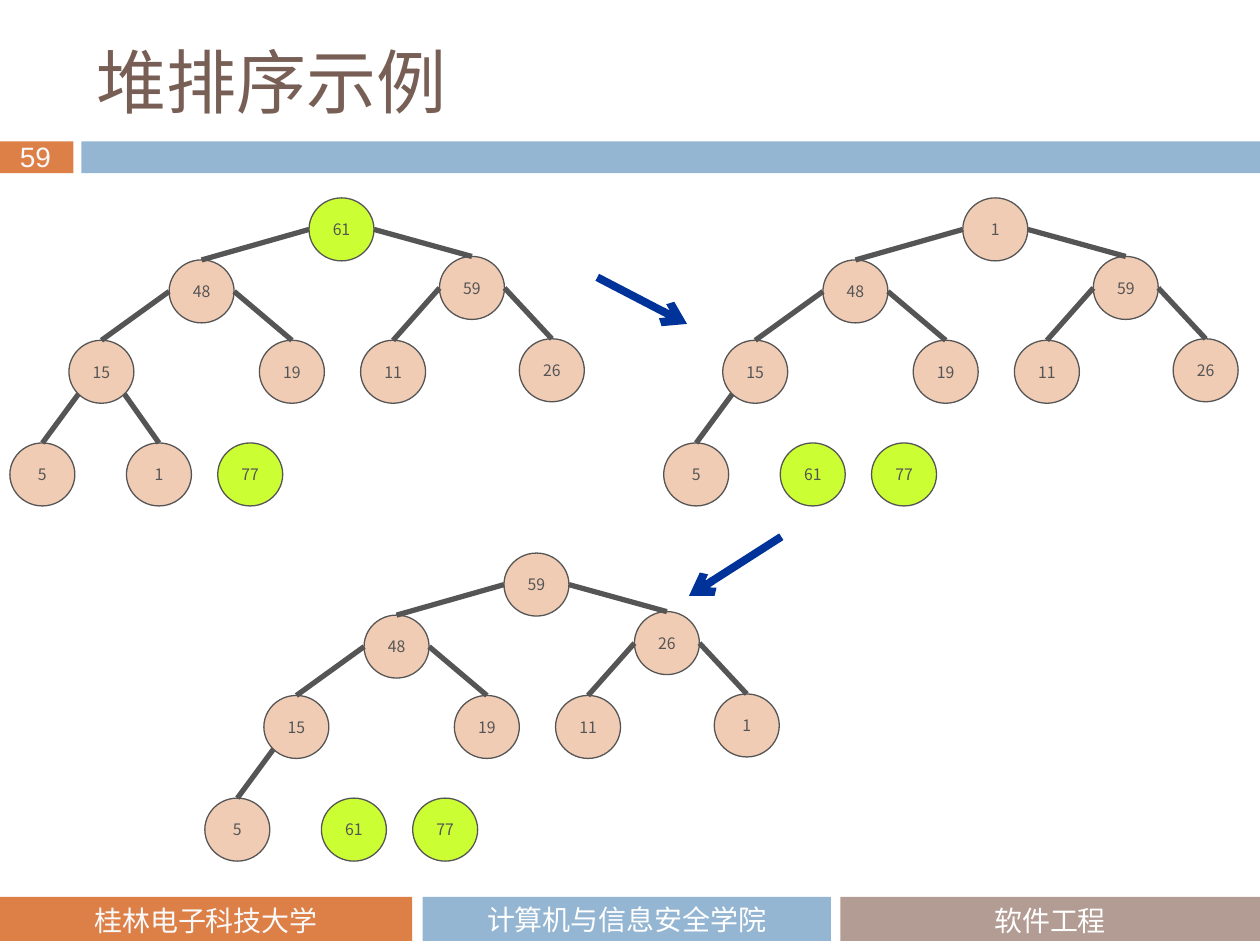
from pptx import Presentation
from pptx.dml.color import RGBColor
from pptx.enum.shapes import MSO_CONNECTOR, MSO_SHAPE
from pptx.enum.text import MSO_ANCHOR, PP_ALIGN
from pptx.oxml.ns import qn
from pptx.util import Cm, Pt
from lxml import etree

RECTANGLE, OVAL = MSO_SHAPE.RECTANGLE, MSO_SHAPE.OVAL
STRAIGHT = MSO_CONNECTOR.STRAIGHT
LEFT, CENTER = PP_ALIGN.LEFT, PP_ALIGN.CENTER
TOP, MIDDLE = MSO_ANCHOR.TOP, MSO_ANCHOR.MIDDLE

ORANGE, BLUE, TAUPE = "DD8047", "94B6D2", "B29C93"
PEACH, LIME, GRAY, NAVY = "F1CCB5", "CCFF33", "555555", "003399"
WHITE, OFF_WHITE, BROWN = "FFFFFF", "F9F9F9", "775F55"

presentation = Presentation()
presentation.slide_width, presentation.slide_height = Cm(25.4), Cm(19.05)
slide = presentation.slides.add_slide(presentation.slide_layouts[6])


def add_box(text, left, top, width, height, shape_type=None, fill=None, line=None,
            font="Cabin", size=16, color=WHITE, align=CENTER, anchor=MIDDLE,
            wrap=True, inset=None):
    """Add a filled preset shape, or a text box when shape_type is None."""
    place = Cm(left), Cm(top), Cm(width), Cm(height)
    if shape_type is None:
        shape = slide.shapes.add_textbox(*place)
    else:
        shape = slide.shapes.add_shape(shape_type, *place)
        shape.shadow.inherit = False
        shape.fill.solid()
        shape.fill.fore_color.rgb = RGBColor.from_string(fill)
        if line:
            shape.line.color.rgb = RGBColor.from_string(line)
            shape.line.width = Pt(0.75)
        else:
            shape.line.fill.background()
    if not text:
        return
    frame = shape.text_frame
    frame.word_wrap = wrap
    frame.vertical_anchor = anchor
    if inset is not None:
        frame.margin_left = frame.margin_right = Cm(inset)
        frame.margin_top = frame.margin_bottom = Cm(inset)
    paragraph = frame.paragraphs[0]
    paragraph.alignment = align
    run = paragraph.add_run()
    run.text = text
    run.font.name = font
    run.font.size = Pt(size)
    run.font.color.rgb = RGBColor.from_string(color)
    east_asian = etree.SubElement(run.font._element, qn("a:ea"))
    east_asian.set("typeface", font)


def add_line(start, end, color=GRAY, width=3, arrow=False):
    connector = slide.shapes.add_connector(
        STRAIGHT, *(Cm(value) for value in (*start, *end)))
    connector.line.color.rgb = RGBColor.from_string(color)
    connector.line.width = Pt(width)
    if arrow:
        etree.SubElement(connector.line._get_or_add_ln(), qn("a:tailEnd"), type="arrow")
    etree.SubElement(connector._element.spPr, qn("a:effectLst"))


# Title band and footer
add_box("", 0, 2.85, 1.48, 0.64, RECTANGLE, ORANGE)
add_box("", 1.64, 2.85, 23.76, 0.64, RECTANGLE, BLUE)
add_box("", 0, 18.08, 8.31, 0.89, RECTANGLE, ORANGE)
add_box("计算机与信息安全学院", 8.52, 18.08, 8.23, 0.89, RECTANGLE, BLUE)
add_box("", 16.94, 18.08, 8.46, 0.89, RECTANGLE, TAUPE)
add_box("软件工程", 16.94, 18.08, 8.46, 0.82, anchor=TOP)
add_box("桂林电子科技大学", 0, 18.08, 8.31, 0.82, color=OFF_WHITE, anchor=TOP)
add_box("59", 0.15, 2.69, 1.22, 0.94, font="Arial", color=OFF_WHITE,
        align=LEFT, anchor=TOP, wrap=False)
add_box("堆排序示例", 1.7, 0.64, 22.66, 1.98, font="Noto Sans CJK JP",
        size=40, color=BROWN, align=LEFT)

# Heap trees: node places in array order, measured from each tree's corner
NODE_WIDTH, NODE_HEIGHT = 1.31, 1.27
NODE_PLACES = [
    (6.03, 0), (3.21, 1.25), (8.66, 1.18),
    (1.19, 2.87), (5.03, 2.87), (7.07, 2.87), (10.27, 2.84),
    (0, 4.94), (2.35, 4.94), (4.19, 4.94),
]
DIAGONAL = 0.5 ** 0.5

# Corner, values in array order, heap size, highlighted positions
trees = [
    ((0.2, 3.99), [61, 48, 59, 15, 19, 11, 26, 5, 1, 77], 9, {0, 9}),
    ((13.38, 3.99), [1, 48, 59, 15, 19, 11, 26, 5, 61, 77], 8, {8, 9}),
    ((4.13, 11.15), [59, 48, 26, 15, 19, 11, 1, 5, 61, 77], 8, {8, 9}),
]

for (tree_left, tree_top), values, heap_size, highlighted in trees:
    nodes = [(tree_left + x, tree_top + y) for x, y in NODE_PLACES]
    for index, (value, (left, top)) in enumerate(zip(values, nodes)):
        add_box(str(value), left, top, NODE_WIDTH, NODE_HEIGHT, OVAL,
                LIME if index in highlighted else PEACH, GRAY,
                font="Noto Sans CJK SC", size=9, color=GRAY, inset=0)
    for child in range(1, heap_size):
        parent = (child - 1) // 2
        parent_left, parent_top = nodes[parent]
        child_left, child_top = nodes[child]
        side = -1 if child % 2 else 1
        # Edges leave the side of a parent, or its lower diagonal on the third level
        across, down = (DIAGONAL, DIAGONAL) if parent >= 3 else (1, 0)
        add_line((parent_left + NODE_WIDTH / 2 * (1 + side * across),
                  parent_top + NODE_HEIGHT / 2 * (1 + down)),
                 (child_left + NODE_WIDTH / 2, child_top))

# Arrows from one step to the next
add_line((12.04, 5.59), (13.85, 6.53), NAVY, 4.5, arrow=True)
add_line((15.75, 10.82), (13.89, 12.01), NAVY, 4.5, arrow=True)

presentation.save("out.pptx")
